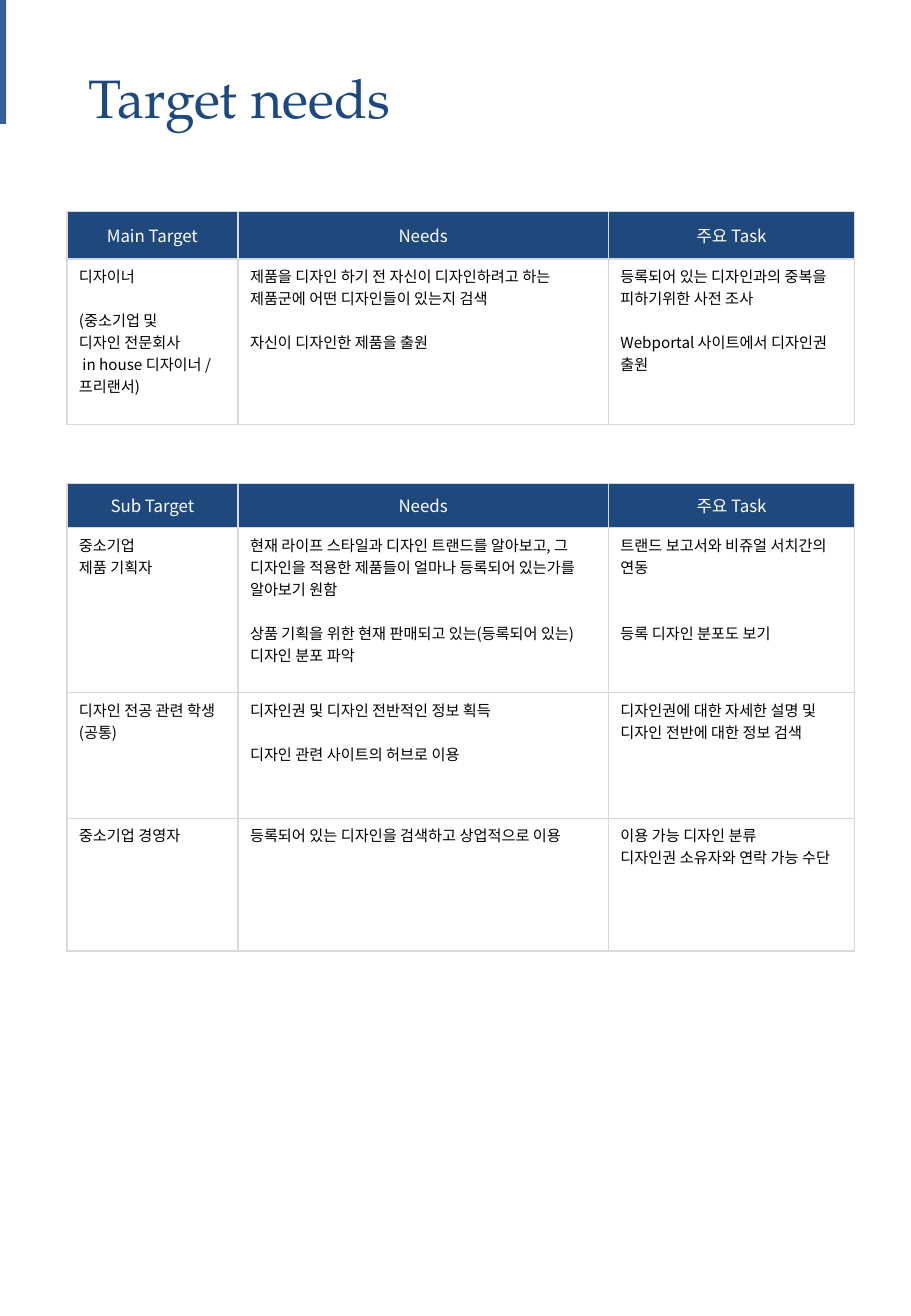
"""Build the Target needs slide with its main and sub target tables."""
from lxml.etree import SubElement
from pptx import Presentation
from pptx.dml.color import RGBColor
from pptx.enum.shapes import MSO_SHAPE as SHAPE
from pptx.enum.text import MSO_ANCHOR as ANCHOR, PP_ALIGN as ALIGN
from pptx.oxml import parse_xml
from pptx.oxml.ns import nsdecls, qn
from pptx.util import Pt

NAVY, BLUE, GRAY = "1F497D", "376092", "D9D9D9"
SANS, SERIF = "Noto Sans CJK KR", "TeX Gyre Pagella"
LEFT, COLS = 39.6, (101.4, 219.6, 146)
LINE = 13

MAIN = [
    ("Main Target", "Needs", "주요 Task"),
    ("디자이너\n\n(중소기업 및\n디자인 전문회사\n in house 디자이너 /\n프리랜서)",
     "제품을 디자인 하기 전 자신이 디자인하려고 하는 제품군에 어떤 디자인들이 있는지 검색"
     "\n\n자신이 디자인한 제품을 출원",
     "등록되어 있는 디자인과의 중복을 피하기위한 사전 조사"
     "\n\nWebportal 사이트에서 디자인권 출원"),
]
SUB = [
    ("Sub Target", "Needs", "주요 Task"),
    ("중소기업\n제품 기획자",
     "현재 라이프 스타일과 디자인 트랜드를 알아보고, 그 디자인을 적용한 제품들이 "
     "얼마나 등록되어 있는가를 알아보기 원함"
     "\n\n상품 기획을 위한 현재 판매되고 있는(등록되어 있는) 디자인 분포 파악",
     "트랜드 보고서와 비쥬얼 서치간의 연동\n\n\n등록 디자인 분포도 보기"),
    ("디자인 전공 관련 학생\n(공통)",
     "디자인권 및 디자인 전반적인 정보 획득\n\n디자인 관련 사이트의 허브로 이용",
     "디자인권에 대한 자세한 설명 및 디자인 전반에 대한 정보 검색"),
    ("중소기업 경영자",
     "등록되어 있는 디자인을 검색하고 상업적으로 이용",
     "이용 가능 디자인 분류\n디자인권 소유자와 연락 가능 수단"),
]


def rgb(color):
    """Turn a hex string into a colour."""
    return RGBColor.from_string(color)


def write(tf, text, size=9, font=SANS, color="000000", align=ALIGN.LEFT):
    """Write one paragraph a line, turning empty lines into space before the next."""
    tf.word_wrap = True
    p, gap = tf.paragraphs[0], 0
    for i, line in enumerate(text.split("\n")):
        if not line:
            gap += LINE
            continue
        p = tf.add_paragraph() if i else p
        p.alignment, p.space_before = align, Pt(gap)
        gap = 0
        r = p.add_run()
        r.text = line
        r.font.size, r.font.name = Pt(size), font
        r.font.color.rgb = rgb(color)
        SubElement(r.font._element, qn("a:ea"), typeface=font)


class Page:
    """Hold the style and the current slide."""

    def __init__(self, prs):
        """Add a blank slide."""
        self.shapes = prs.slides.add_slide(prs.slide_layouts[6]).shapes

    def bar(self, x, y, w, h, color):
        """Add a plain filled rectangle."""
        s = self.shapes.add_shape(SHAPE.RECTANGLE, Pt(x), Pt(y), Pt(w), Pt(h))
        s.shadow.inherit = False
        s.fill.solid()
        s.fill.fore_color.rgb = rgb(color)
        s.line.fill.background()

    def title(self, x, y, w, h, text):
        """Add the slide heading."""
        s = self.shapes.add_textbox(Pt(x), Pt(y), Pt(w), Pt(h))
        write(s.text_frame, text, size=32, font=SERIF, color=NAVY)

    def border(self, cell):
        """Draw a thin gray line on all four sides of a cell."""
        tc_pr = cell._tc.get_or_add_tcPr()
        for i, side in enumerate("LRTB"):
            tc_pr.insert(i, parse_xml(
                f'<a:ln{side} {nsdecls("a")} w="12700"><a:solidFill>'
                f'<a:srgbClr val="{GRAY}"/></a:solidFill></a:ln{side}>'))

    def table(self, y, heights, rows):
        """Add a table with a navy header row and bordered cells."""
        t = self.shapes.add_table(len(rows), len(COLS), Pt(LEFT), Pt(y),
                                  Pt(sum(COLS)), Pt(sum(heights))).table
        t.first_row = t.horz_banding = False
        for col, width in zip(t.columns, COLS):
            col.width = Pt(width)
        for i, (row, height, texts) in enumerate(zip(t.rows, heights, rows)):
            row.height = Pt(height)
            for cell, text in zip(row.cells, texts):
                if i == 0:
                    cell.fill.solid()
                    cell.fill.fore_color.rgb = rgb(NAVY)
                    cell.vertical_anchor = ANCHOR.MIDDLE
                    write(cell.text_frame, text, size=10, color="FFFFFF",
                          align=ALIGN.CENTER)
                else:
                    cell.fill.background()
                    write(cell.text_frame, text)
                self.border(cell)


prs = Presentation()
prs.slide_width, prs.slide_height = Pt(540), Pt(780)
page = Page(prs)
page.bar(0, 0, 3.6, 73.4, BLUE)
page.title(45.4, 34.6, 258.5, 46, "Target needs")
page.table(286.6, (26, 98, 74.4, 78.6), SUB)
page.table(125.4, (28.2, 98), MAIN)
prs.save("out.pptx")
